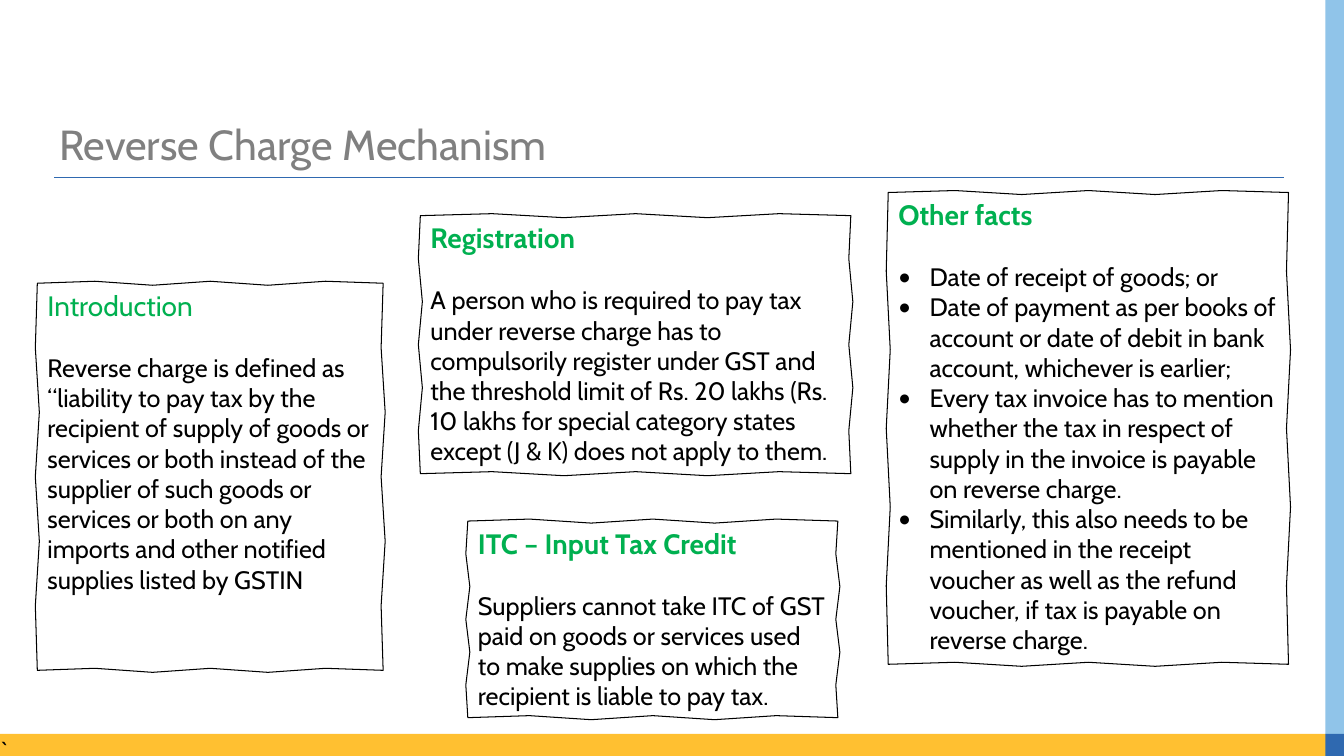
from lxml.etree import SubElement
from pptx import Presentation
from pptx.dml.color import RGBColor
from pptx.enum.shapes import MSO_CONNECTOR, MSO_SHAPE
from pptx.enum.text import MSO_ANCHOR, PP_ALIGN
from pptx.oxml.ns import qn
from pptx.util import Inches, Pt

WIDE, HIGH = Inches(13.33), Inches(7.5)
SWAY = 0.02

THEME = {
    "ink": "000000", "grey": "808080", "green": "00B050",
    "gold": "FFC031", "sky": "90C4E9", "navy": "2F69B0",
    "face": "Cabin", "mark": "Calibri",
    "title": 30, "head": 20, "body": 18,
}

# Frames are left, top, width, height in percent of the slide.
NOTES = [
    ((2.78, 37.47, 25.73, 51.2), "Introduction", False, [
        "Reverse charge is defined as “liability to pay tax by the recipient of "
        "supply of goods or services or both instead of the supplier of such goods "
        "or services or both on any imports and other notified supplies listed by "
        "GSTIN"]),
    ((31.28, 28.53, 32.03, 34.13), "Registration", True, [
        "A person who is required to pay tax under reverse charge has to "
        "compulsorily register under GST and the threshold limit of Rs. 20 lakhs "
        "(Rs. 10 lakhs for special category states except (J & K) does not apply "
        "to them."]),
    ((34.81, 68.93, 27.53, 26), "ITC – Input Tax Credit", True, [
        "Suppliers cannot take ITC of GST paid on goods or services used to make "
        "supplies on which the recipient is liable to pay tax."]),
    ((66.09, 25.47, 29.78, 62.4), "Other facts", True, [
        "Date of receipt of goods; or",
        "Date of payment as per books of account or date of debit in bank account, "
        "whichever is earlier;",
        "Every tax invoice has to mention whether the tax in respect of supply in "
        "the invoice is payable on reverse charge.",
        "Similarly, this also needs to be mentioned in the receipt voucher as well "
        "as the refund voucher, if tax is payable on reverse charge."]),
]


def color(name):
    return RGBColor.from_string(THEME[name])


def place(frame):
    """Turn a frame in percent into slide lengths."""
    return [round(part * side / 100) for part, side in zip(frame, (WIDE, HIGH) * 2)]


def assign(thing, values):
    for name, value in values.items():
        setattr(thing, name, value)


def setup(shape, across, down):
    """Prepare a text frame with its side and top padding in inches."""
    frame = shape.text_frame
    assign(frame, {"word_wrap": True, "vertical_anchor": MSO_ANCHOR.TOP,
                   "margin_left": Inches(across), "margin_right": Inches(across),
                   "margin_top": Inches(down), "margin_bottom": Inches(down)})
    return frame


def write(para, text, size, tint, face="face", bold=False):
    para.alignment = PP_ALIGN.LEFT
    run = para.add_run()
    run.text = text
    assign(run.font, {"name": THEME[face], "size": Pt(THEME[size]), "bold": bold})
    run.font.color.rgb = color(tint)


def bullet(para):
    props = para._p.get_or_add_pPr()
    props.set("marL", str(Inches(0.31)))
    props.set("indent", str(-Inches(0.31)))
    SubElement(props, qn("a:buFont")).set("typeface", THEME["mark"])
    SubElement(props, qn("a:buChar")).set("char", "•")


def bar(slide, frame, tint):
    shape = slide.shapes.add_shape(MSO_SHAPE.RECTANGLE, *place(frame))
    shape.shadow.inherit = False
    shape.fill.solid()
    shape.fill.fore_color.rgb = color(tint)
    shape.line.fill.background()
    return shape


def rule(slide, left, right, top):
    start, end = place((left, top)), place((right, top))
    line = slide.shapes.add_connector(MSO_CONNECTOR.STRAIGHT, *start, *end)
    line.line.color.rgb = color("navy")
    line.line.width = Pt(0.82)
    SubElement(line._element.spPr, qn("a:effectLst"))


def sketch(left, top, width, height, steps=6):
    """Points of a hand-drawn rectangle whose sides waver between corners."""
    right, base = left + width, top + height
    spots = [(left, top), (right, top), (right, base), (left, base), (left, top)]
    points = []
    for side, ((x, y), (u, v)) in enumerate(zip(spots, spots[1:])):
        for step in range(steps):
            part = step / steps
            sway = Inches(SWAY) * (-1) ** step if step else 0
            flat = side % 2 == 0
            points.append((round(x + (u - x) * part + (0 if flat else sway)),
                           round(y + (v - y) * part + (sway if flat else 0))))
    return points


def note(slide, frame, head, bold, lines):
    points = sketch(*place(frame))
    maker = slide.shapes.build_freeform(*points[0])
    maker.add_line_segments(points[1:], close=True)
    shape = maker.convert_to_shape()
    shape.shadow.inherit = False
    shape.fill.background()
    shape.line.color.rgb = color("ink")
    shape.line.width = Pt(0.75)
    text = setup(shape, 0.1 + SWAY, 0.05 + SWAY)
    write(text.paragraphs[0], head, "head", "green", bold=bold)
    for index, line in enumerate(lines):
        para = text.add_paragraph()
        if index == 0:
            para.space_before = Pt(21.6)
        if len(lines) > 1:
            bullet(para)
        write(para, line, "body", "ink")


def title(slide, frame, words):
    box = slide.shapes.add_textbox(*place(frame))
    para = setup(box, 0.1, 0.05).paragraphs[0]
    para.line_spacing = 0.9
    write(para, words, "title", "grey")


def main():
    deck = Presentation()
    assign(deck, {"slide_width": WIDE, "slide_height": HIGH})
    slide = deck.slides.add_slide(deck.slide_layouts[6])
    edge, foot = 98.62, 97.07
    rule(slide, 4.05, 95.5, 23.47)
    strip = bar(slide, (0, foot, 99.4, 100 - foot), "gold")
    tick = setup(strip, 0, 0).paragraphs[0]
    write(tick, "`", "body", "ink", "mark")
    bar(slide, (edge, 0, 100 - edge, foot), "sky")
    bar(slide, (edge, foot, 100 - edge, 100 - foot), "navy")
    title(slide, (3.68, 15.73, 91.52, 6.67), "Reverse Charge Mechanism")
    for item in NOTES:
        note(slide, *item)
    deck.save("out.pptx")


if __name__ == "__main__":
    main()
